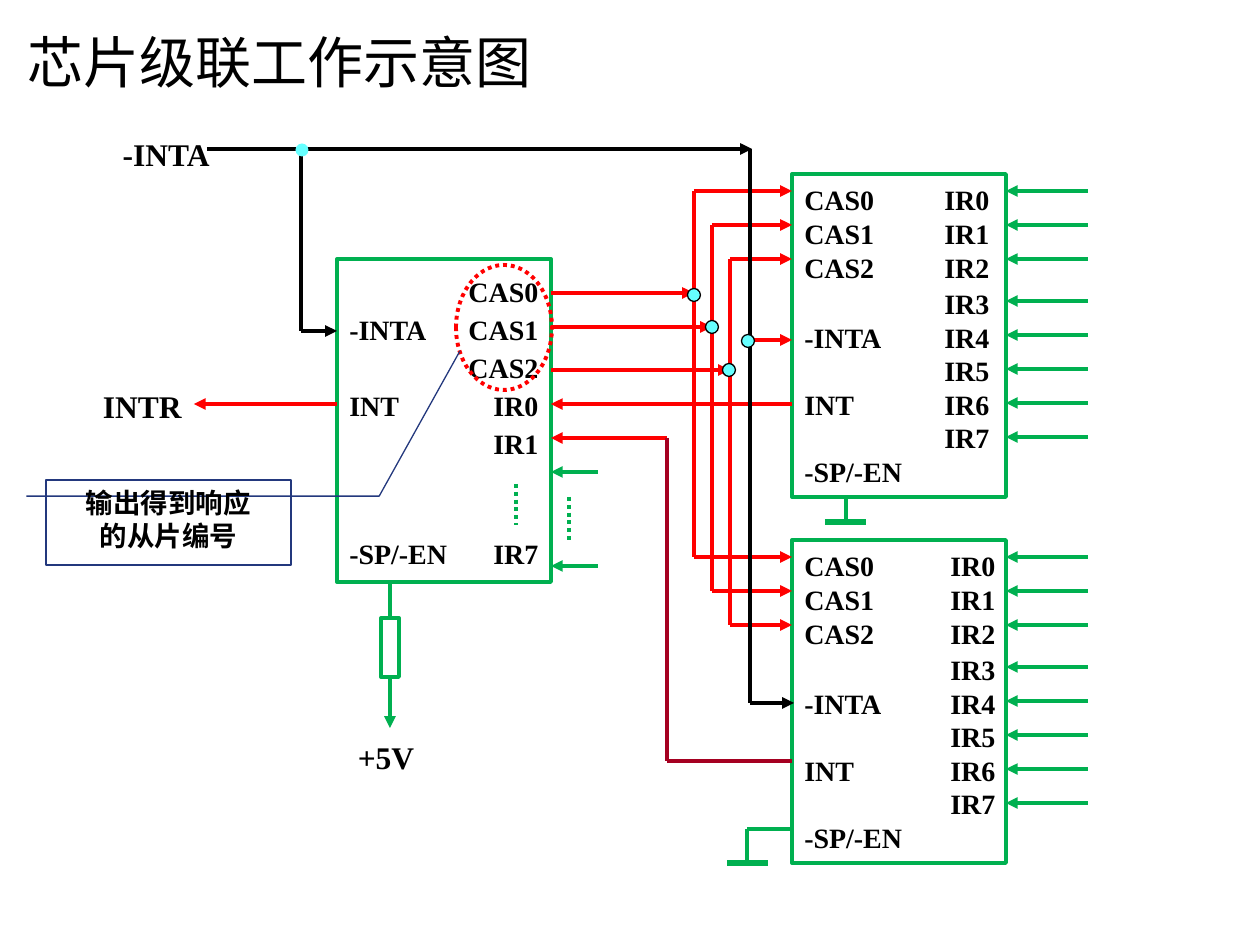
from pptx import Presentation
from pptx.dml.color import RGBColor
from pptx.enum.dml import MSO_LINE
from pptx.enum.shapes import MSO_CONNECTOR, MSO_SHAPE
from pptx.enum.text import MSO_ANCHOR, PP_ALIGN
from pptx.oxml.ns import qn
from pptx.util import Emu, Pt
from lxml.etree import SubElement

GREEN = RGBColor(0x00, 0xB0, 0x50)
RED = RGBColor(0xFF, 0x00, 0x00)
DARK_RED = RGBColor(0xA5, 0x00, 0x21)
BLACK = RGBColor(0x00, 0x00, 0x00)
CYAN = RGBColor(0x66, 0xFF, 0xFF)
NAVY = RGBColor(0x23, 0x38, 0x7D)
SERIF = "Times New Roman"

# Pin rows: left pin, right pin, extra gap above
SLAVE_PINS = [("CAS0", "IR0", 0), ("CAS1", "IR1", 0), ("CAS2", "IR2", 0),
              ("", "IR3", 3), ("-INTA", "IR4", 0), ("", "IR5", 0),
              ("INT", "IR6", 0), ("", "IR7", 0), ("-SP/-EN", "", 0)]
MASTER_PINS = [("", "CAS0", 0), ("-INTA", "CAS1", 0), ("", "CAS2", 0),
               ("INT", "IR0", 0), ("", "IR1", 0), ("-SP/-EN", "IR7", 72)]

# Chips: left, top, pins, row pitch in points, tab position, tab alignment
CHIP_W, CHIP_H = 214, 323
SLAVE_X, SLAVE_TOPS = 792, (174, 540)
MASTER_X, MASTER_Y = 337, 259
SLAVE_R, MASTER_R = SLAVE_X + CHIP_W, MASTER_X + CHIP_W
CHIPS = [(SLAVE_X, SLAVE_TOPS[0], SLAVE_PINS, 19.2, 140, "l"),
         (MASTER_X, MASTER_Y, MASTER_PINS, 21.7, 189, "r"),
         (SLAVE_X, SLAVE_TOPS[1], SLAVE_PINS, 19.2, 146, "l")]

# Cascade lines: bus x, y of the master output
CAS_BUSES = [(694, 293), (712, 327), (730, 370)]

# Wires: x1, y1, x2, y2, colour, format
ARROW, DOTTED, THICK = {"arrow": True}, {"dash": True}, {"width": 3}
WIRES = [
    (516, 484, 516, 525, GREEN, DOTTED),
    (569, 497, 569, 541, GREEN, DOTTED),
    (SLAVE_X, 404, MASTER_R, 404, RED, ARROW),
    (667, 438, MASTER_R, 438, RED, ARROW),
    (667, 438, 667, 761, DARK_RED, {}),
    (667, 761, SLAVE_X, 761, DARK_RED, {}),
    (598, 472, MASTER_R, 472, GREEN, ARROW),
    (598, 566, MASTER_R, 566, GREEN, ARROW),
    (MASTER_X, 404, 194, 404, RED, ARROW),
    (207, 149, 752, 149, BLACK, ARROW),
    (301, 331, 301, 149, BLACK, {}),
    (301, 331, MASTER_X, 331, BLACK, ARROW),
    (750, 149, 750, 703, BLACK, {}),
    (750, 703, 794, 703, BLACK, ARROW),
    (750, 340, SLAVE_X, 340, RED, ARROW),
    (846, 497, 846, 522, GREEN, {}),
    (825, 522, 866, 522, GREEN, THICK),
    (SLAVE_X, 829, 747, 829, GREEN, {}),
    (747, 829, 747, 863, GREEN, {}),
    (727, 863, 768, 863, GREEN, THICK),
]
NODES = [(694, 295), (712, 327), (729, 370), (748, 341)]
INTA_NODE = (302, 150)
NODE_SIZE = 13

# Labels: text, left, top, width, alignment
LABELS = [("-INTA", 82, 125, 140, PP_ALIGN.RIGHT),
          ("INTR", 52, 377, 142, PP_ALIGN.RIGHT),
          ("+5V", 301, 728, 170, PP_ALIGN.CENTER)]
CALLOUT_LINES = ["输出得到响应", "的从片编号"]
CALLOUT_ADJ = [0.19, -0.08, 0.19, 1.36, -1.52, 1.69]


def px(n):
    return Emu(round(n * 914400 / 126))


def add_run(p, text, size, font=SERIF, bold=True):
    r = p.add_run()
    r.text = text
    for name, value in {"size": Pt(size), "name": font, "bold": bold}.items():
        setattr(r.font, name, value)
    r.font.color.rgb = BLACK


def add_text(text, x, y, w, h, size, **frame):
    tf = slide.shapes.add_textbox(px(x), px(y), px(w), px(h)).text_frame
    tf.word_wrap = True
    for name, value in frame.items():
        setattr(tf, name, value)
    return tf.paragraphs[0]


def add_outline(kind, x, y, w, h, line=None, fill=None, width=2.25):
    sp = slide.shapes.add_shape(kind, px(x), px(y), px(w), px(h))
    sp.shadow.inherit = False
    if fill is None:
        sp.fill.background()
    else:
        sp.fill.solid()
        sp.fill.fore_color.rgb = fill
    if line is None:
        sp.line.fill.background()
    else:
        sp.line.color.rgb = line
        sp.line.width = Pt(width)
    return sp


def add_wire(x1, y1, x2, y2, color, arrow=False, dash=False, width=2.25):
    wire = slide.shapes.add_connector(MSO_CONNECTOR.STRAIGHT,
                                      px(x1), px(y1), px(x2), px(y2))
    SubElement(wire._element.spPr, qn("a:effectLst"))
    wire.line.color.rgb = color
    wire.line.width = Pt(width)
    if dash:
        wire.line.dash_style = MSO_LINE.ROUND_DOT
    if arrow:
        SubElement(wire.line._get_or_add_ln(), qn("a:tailEnd"), type="triangle")
    return wire


def add_chip(x, y, pins, pitch, tab, tab_align):
    """Draw a chip whose right-hand pins line up on a tab stop."""
    tf = add_outline(MSO_SHAPE.RECTANGLE, x, y, CHIP_W, CHIP_H, GREEN).text_frame
    tf.word_wrap = True
    tf.vertical_anchor = MSO_ANCHOR.MIDDLE
    tf.margin_right = 0
    for i, (left, right, gap) in enumerate(pins):
        p = tf.add_paragraph() if i else tf.paragraphs[0]
        tabs = SubElement(p._p.get_or_add_pPr(), qn("a:tabLst"))
        SubElement(tabs, qn("a:tab"), pos=str(px(tab)), algn=tab_align)
        p.alignment = PP_ALIGN.LEFT
        p.line_spacing = Pt(pitch)
        if gap:
            p.space_before = px(gap)
        add_run(p, f"{left}\t{right}" if right else left, 16)


def add_node(cx, cy, line=None):
    add_outline(MSO_SHAPE.OVAL, cx - NODE_SIZE / 2, cy - NODE_SIZE / 2,
                NODE_SIZE, NODE_SIZE, line, CYAN, 0.75)


prs = Presentation()
prs.slide_width, prs.slide_height = px(1260), px(945)
slide = prs.slides.add_slide(prs.slide_layouts[6])

title = add_text("title", 15, 23, 1074, 78, 32, vertical_anchor=MSO_ANCHOR.BOTTOM)
add_run(title, "芯片级联工作示意图", 32, bold=False)

for chip in CHIPS:
    add_chip(*chip)

for top in SLAVE_TOPS:
    for i in range(8):
        y = top + 17 + 34 * i + (8 if i > 2 else 0)
        add_wire(1088, y, SLAVE_R, y, GREEN, arrow=True)
for i, (bus_x, out_y) in enumerate(CAS_BUSES):
    ends = [top + 17 + 34 * i for top in SLAVE_TOPS]
    for y in ends:
        add_wire(bus_x, y, SLAVE_X, y, RED, arrow=True)
    add_wire(bus_x, ends[0], bus_x, ends[1], RED)
    add_wire(MASTER_R, out_y, bus_x, out_y, RED, arrow=True)
for *ends, color, style in WIRES:
    add_wire(*ends, color, **style)

resistor = add_outline(MSO_SHAPE.RECTANGLE, 381, 618, 18, 59, GREEN)
add_wire(390, MASTER_Y + CHIP_H, 390, 618, GREEN).end_connect(resistor, 0)
add_wire(390, 677, 390, 728, GREEN, arrow=True).begin_connect(resistor, 2)

for text, x, y, w, align in LABELS:
    p = add_text(text, x, y, w, 50, 18, margin_top=px(10), margin_bottom=px(3))
    p.alignment = align
    add_run(p, text, 18)

add_node(*INTA_NODE)
for node in NODES:
    add_node(*node, BLACK)

cas_ring = add_outline(MSO_SHAPE.OVAL, 456, 265, 96, 125, RED)
cas_ring.line.dash_style = MSO_LINE.ROUND_DOT

callout = add_outline(MSO_SHAPE.LINE_CALLOUT_2, 46, 480, 245, 85, NAVY, width=0.75)
for i, value in enumerate(CALLOUT_ADJ):
    callout.adjustments[i] = value
tf = callout.text_frame
tf.word_wrap = True
tf.vertical_anchor = MSO_ANCHOR.TOP
for i, line in enumerate(CALLOUT_LINES):
    p = tf.add_paragraph() if i else tf.paragraphs[0]
    p.alignment = PP_ALIGN.CENTER
    add_run(p, line, 15.7, "Cabin")

prs.save("out.pptx")
